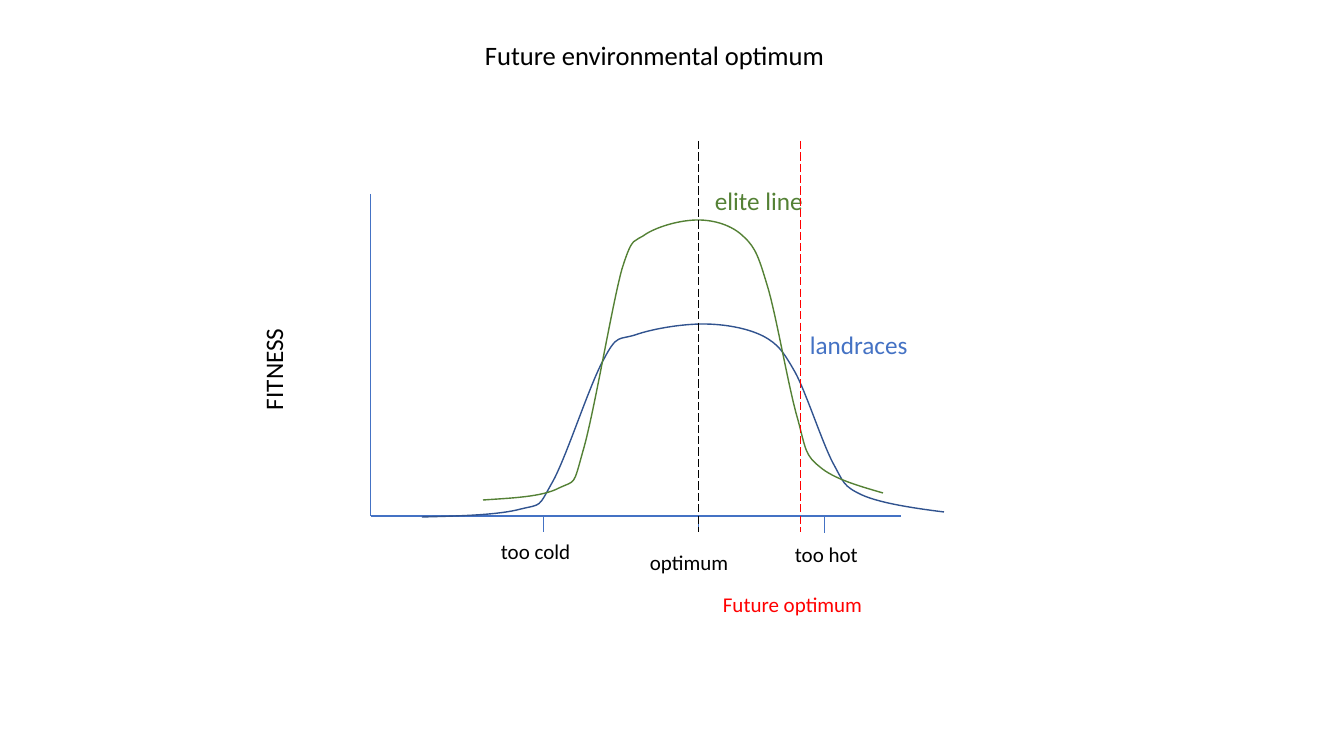
from lxml.etree import SubElement
from pptx import Presentation
from pptx.dml.color import RGBColor
from pptx.enum.dml import MSO_LINE_DASH_STYLE as Dash
from pptx.enum.shapes import MSO_CONNECTOR as Connector
from pptx.enum.text import MSO_AUTO_SIZE as AutoSize
from pptx.oxml.ns import qn
from pptx.util import Pt

PX = 914400 / 100.8  # EMU in one px
SLIDE_SIZE = 1344, 756
BLACK, RED, BLUE, NAVY, GREEN = "000000", "FF0000", "4472C4", "31538F", "548135"

# text, (left, top, width, height), size, colour, rotation
LABELS = [
    ("Future environmental optimum", (475, 34, 448, 42), 19, BLACK, 0),
    ("FITNESS", (184, 311, 178, 40), 18, BLACK, 270),
    ("optimum", (640, 545, 151, 35), 15, BLACK, 0),
    ("landraces", (800, 324, 215, 40), 18, BLUE, 0),
    ("elite line", (705, 180, 240, 40), 18, GREEN, 0),
    ("too cold", (491, 534, 138, 35), 15, BLACK, 0),
    ("too hot", (785, 537, 128, 35), 15, BLACK, 0),
    ("Future optimum", (713, 587, 240, 35), 15, RED, 0),
]

# (from x, from y, to x, to y)
AXES = [(371, 194, 371, 516), (901, 516, 371, 516)]
TICKS = [(544, 516, 544, 532), (699, 516, 699, 532), (825, 517, 825, 533)]
OPTIMA = [(699, BLACK), (801, RED)]
OPTIMUM_TOP, OPTIMUM_BOTTOM = 141, 532

# Bezier knots: start point, then two handles and an end point per segment
LANDRACES = [
    (422, 517),
    (461, 516), (499, 515), (521, 509),
    (542, 504), (538, 508), (552, 483),
    (566, 459), (590, 383), (604, 359),
    (617, 334), (619, 340), (635, 335),
    (652, 329), (681, 324), (703, 324),
    (724, 324), (747, 328), (763, 336),
    (778, 344), (783, 351), (795, 372),
    (806, 392), (822, 442), (833, 463),
    (844, 483), (843, 486), (862, 495),
    (880, 503), (912, 508), (944, 512),
]
ELITE_LINE = [
    (483, 500),
    (512, 498), (542, 497), (559, 488),
    (576, 480), (573, 487), (583, 451),
    (594, 414), (612, 305), (622, 269),
    (633, 234), (634, 243), (646, 234),
    (659, 226), (681, 220), (698, 220),
    (714, 220), (732, 225), (744, 237),
    (756, 248), (759, 258), (768, 288),
    (777, 319), (789, 390), (798, 420),
    (806, 450), (805, 455), (820, 467),
    (834, 479), (859, 486), (883, 493),
]


def emu(*lengths):
    return [round(length * PX) for length in lengths]


def rgb(colour):
    return RGBColor.from_string(colour)


def add_text(shapes, text, box, size, colour, rotation=0):
    label = shapes.add_textbox(*emu(*box))
    label.rotation = rotation
    frame = label.text_frame
    frame.word_wrap = True
    frame.auto_size = AutoSize.SHAPE_TO_FIT_TEXT
    run = frame.paragraphs[0].add_run()
    run.text = text
    run.font.name = "Calibri"
    run.font.size = Pt(size)
    run.font.color.rgb = rgb(colour)


def add_line(shapes, ends, colour=BLUE, dash=None):
    line = shapes.add_connector(Connector.STRAIGHT, *emu(*ends))
    line.line.color.rgb = rgb(colour)
    line.line.width = Pt(0.75)
    if dash:
        line.line.dash_style = dash
    SubElement(line._element.spPr, qn("a:effectLst"))


def add_curve(shapes, knots, colour):
    """Draw the knots as a freeform, then join each three into a Bezier segment."""
    builder = shapes.build_freeform(*emu(*knots[0]), scale=1.0)
    builder.add_line_segments([emu(*knot) for knot in knots[1:]], close=False)
    curve = builder.convert_to_shape()
    curve.shadow.inherit = False
    curve.fill.background()
    curve.line.color.rgb = rgb(colour)
    curve.line.width = Pt(1)

    outline = next(curve._element.iter(qn("a:path")))
    for index, straight in enumerate(outline.findall(qn("a:lnTo"))):
        if index % 3 == 0:
            segment = SubElement(outline, qn("a:cubicBezTo"))
        segment.append(straight[0])
        outline.remove(straight)


def main():
    deck = Presentation()
    deck.slide_width, deck.slide_height = emu(*SLIDE_SIZE)
    shapes = deck.slides.add_slide(deck.slide_layouts[6]).shapes

    axes = shapes.add_group_shape()
    for ends in AXES:
        add_line(axes.shapes, ends)
    add_curve(shapes, LANDRACES, NAVY)
    add_curve(shapes, ELITE_LINE, GREEN)
    for ends in TICKS:
        add_line(shapes, ends)
    for label in LABELS:
        add_text(shapes, *label)
    for x, colour in OPTIMA:
        add_line(shapes, (x, OPTIMUM_TOP, x, OPTIMUM_BOTTOM), colour, Dash.LONG_DASH)

    deck.save("out.pptx")


if __name__ == "__main__":
    main()
